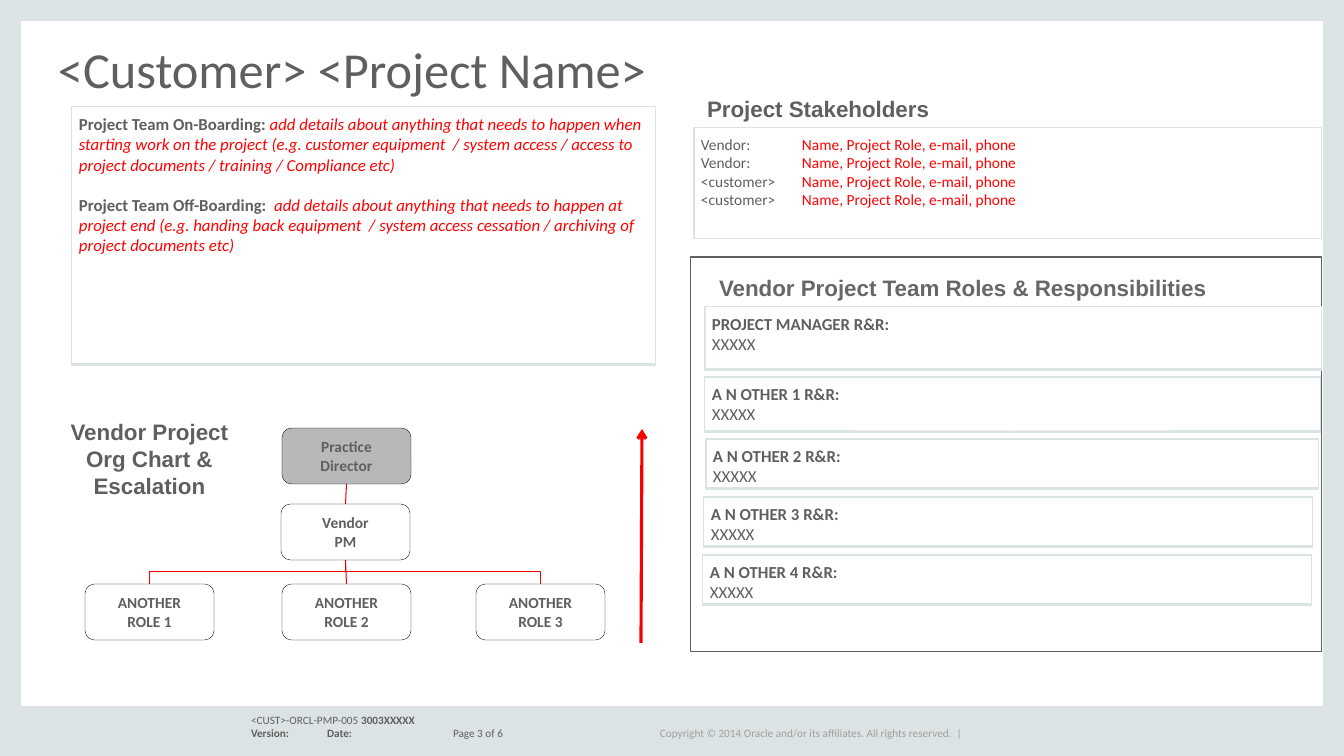
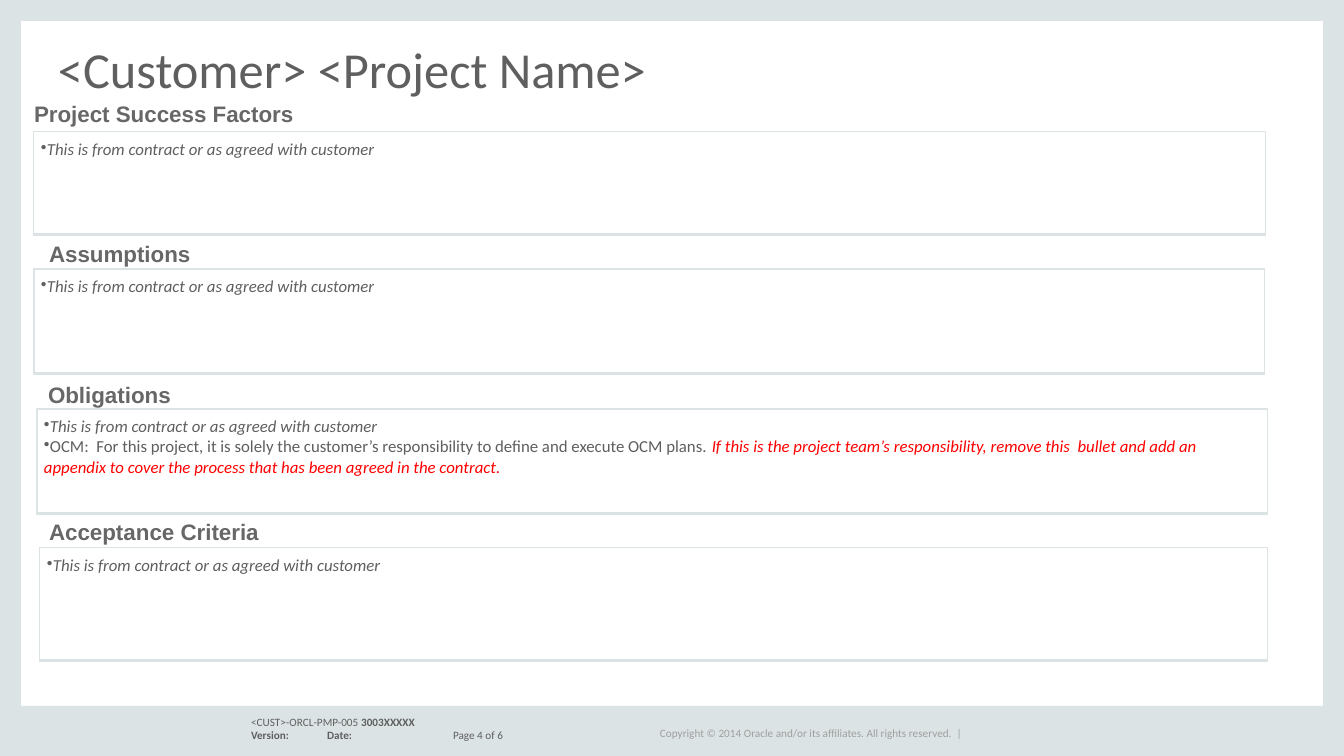
from lxml import etree
from pptx import Presentation
from pptx.dml.color import RGBColor
from pptx.enum.shapes import MSO_CONNECTOR, MSO_SHAPE
from pptx.enum.text import MSO_ANCHOR, PP_ALIGN
from pptx.oxml.ns import qn
from pptx.util import Pt

PX = 914400 / 100.8
RECTANGLE = MSO_SHAPE.RECTANGLE
ROUNDED = MSO_SHAPE.FLOWCHART_ALTERNATE_PROCESS
STRAIGHT, ELBOW = MSO_CONNECTOR.STRAIGHT, MSO_CONNECTOR.ELBOW
LEFT, CENTER = PP_ALIGN.LEFT, PP_ALIGN.CENTER
TOP, MIDDLE, BOTTOM = MSO_ANCHOR.TOP, MSO_ANCHOR.MIDDLE, MSO_ANCHOR.BOTTOM
TOP_SIDE, BOTTOM_SIDE = 0, 2

COLORS = {
    "text": "5F5F5F", "heading": "676767", "muted": "9F9F9F", "band": "DCE3E4",
    "white": "FFFFFF", "black": "000000", "director": "B8B8B8",
    "hint": "FF0000", "connector": "F90000",
}
STYLES = {
    "title": {"name": "Calibri", "size": Pt(36), "color": "text"},
    "heading": {"name": "Arial", "size": Pt(16), "bold": True, "color": "heading"},
    "body": {"name": "Calibri", "size": Pt(12), "color": "text"},
    "small": {"name": "Calibri", "size": Pt(11), "color": "text"},
    "footer": {"name": "Calibri", "size": Pt(8), "color": "text"},
}
PLAIN, BOLD, ITALIC = {}, {"bold": True}, {"italic": True}
HINT = {"color": "hint"}
ITALIC_HINT = {"color": "hint", "italic": True}
WIDE_INSET, PANEL_INSET, NO_INSET = (13, 7), (7, 7), (0, 0)


def add_shape(slide, kind, box, fill=None, line=None, width=0.75, shadow=False):
    """Add a preset shape, or a text box when kind is None."""
    lengths = [round(value * PX) for value in box]
    if kind is None:
        return slide.shapes.add_textbox(*lengths)
    shape = slide.shapes.add_shape(kind, *lengths)
    shape.shadow.inherit = False
    if fill:
        shape.fill.solid()
        shape.fill.fore_color.rgb = RGBColor.from_string(COLORS[fill])
    else:
        shape.fill.background()
    if line:
        shape.line.color.rgb = RGBColor.from_string(COLORS[line])
        shape.line.width = Pt(width)
    else:
        shape.line.fill.background()
    if shadow:
        effects = shape._element.spPr.find(qn("a:effectLst"))
        outer = etree.SubElement(effects, qn("a:outerShdw"), blurRad="0", dist="12700",
                                 dir="5400000", algn="t", rotWithShape="0")
        etree.SubElement(outer, qn("a:srgbClr"), val=COLORS["band"])
    return shape


def write(shape, paragraphs, style, inset=WIDE_INSET, align=LEFT, anchor=TOP,
          wrap=True, bullet=None, tabs=(), line_spacing=None, gap=0):
    """Fill a shape with paragraphs, each a list of (text, format) runs."""
    frame = shape.text_frame
    frame.word_wrap = wrap
    frame.vertical_anchor = anchor
    frame.margin_left = frame.margin_right = round(inset[0] * PX)
    frame.margin_top = frame.margin_bottom = round(inset[1] * PX)
    for index, runs in enumerate(paragraphs):
        paragraph = frame.add_paragraph() if index else frame.paragraphs[0]
        properties = paragraph._p.get_or_add_pPr()
        if bullet:
            properties.set("marL", "0")
            properties.set("indent", "0")
            etree.SubElement(properties, qn("a:buChar"), char=bullet)
        if tabs:
            stops = etree.SubElement(properties, qn("a:tabLst"))
            for position in tabs:
                etree.SubElement(stops, qn("a:tab"), pos=str(round(position * PX)), algn="l")
        paragraph.alignment = align
        if line_spacing:
            paragraph.line_spacing = line_spacing
        if index and gap:
            paragraph.space_before = Pt(gap)
        for text, changes in runs:
            run = paragraph.add_run()
            run.text = text
            for key, value in {**STYLES[style], **changes}.items():
                if key == "color":
                    run.font.color.rgb = RGBColor.from_string(COLORS[value])
                else:
                    setattr(run.font, key, value)


presentation = Presentation()
presentation.slide_width = round(1344 * PX)
presentation.slide_height = round(756 * PX)

# Shared frame, title and footers
BANDS = [(0, 0, 21, 755), (1323, 1, 21, 755), (0, 706, 1344, 50), (0, 0, 1344, 21)]
slides = []
for page, footer_top in ((3, 706), (4, 708)):
    slide = presentation.slides.add_slide(presentation.slide_layouts[6])
    slides.append(slide)
    for band in BANDS:
        add_shape(slide, RECTANGLE, band, fill="band")
    write(add_shape(slide, None, (58, 0, 1227, 98)),
          [[("<Customer> <Project Name>", PLAIN)]],
          "title", NO_INSET, anchor=BOTTOM, line_spacing=0.8)
    write(add_shape(slide, None, (660, 723, 307, 20)),
          [[("Copyright © 2014 Oracle and/or its affiliates. All rights reserved.  |",
             {"color": "muted"})]],
          "footer", NO_INSET, anchor=MIDDLE, wrap=False)
    write(add_shape(slide, None, (238, footer_top, 425, 40)),
          [[("<CUST>-ORCL-PMP-005 ", PLAIN), ("3003XXXXX", BOLD)],
           [("Version:\tDate:\t", BOLD), (f"Page {page} of 6", PLAIN)]],
          "footer", tabs=(76, 202))
team_slide, terms_slide = slides

# Team slide: headings
for box, text, align, color in (
    ((694, 88, 358, 40), "Project Stakeholders", LEFT, "text"),
    ((706, 267, 592, 40), "Vendor Project Team Roles & Responsibilities", LEFT, "heading"),
    ((45, 411, 209, 95), "Vendor Project\vOrg Chart & Escalation", CENTER, "text"),
):
    write(add_shape(team_slide, None, box),
          [[(line, {"color": color})] for line in text.split("\v")], "heading", align=align)

# Team slide: on-boarding and off-boarding
onboarding = add_shape(team_slide, RECTANGLE, (72, 107, 584, 257), "white", "band", shadow=True)
write(onboarding, [
    [("Project Team On-Boarding: ", BOLD),
     ("add details about anything that needs to happen when starting work on the project "
      "(e.g. customer equipment  / system access / access to project documents / training / "
      "Compliance etc)", ITALIC_HINT)],
    [("Project Team Off-Boarding:  ", BOLD),
     ("add details about anything that needs to happen at project end (e.g. handing back "
      "equipment  / system access cessation / archiving of project documents etc)",
      ITALIC_HINT)],
], "body", PANEL_INSET, gap=14.6)

# Team slide: stakeholders
stakeholders = add_shape(team_slide, RECTANGLE, (694, 128, 628, 111), line="band")
write(stakeholders,
      [[(f"{party}\t", PLAIN), ("Name, Project Role, e-mail, phone", HINT)]
       for party in ("Vendor:", "Vendor:", "<customer>", "<customer>")],
      "small", PANEL_INSET, tabs=(101,))

# Team slide: roles and responsibilities
add_shape(team_slide, RECTANGLE, (691, 257, 631, 395), line="text")
for role, box in (
    ("PROJECT MANAGER", (705, 307, 617, 62)),
    ("A N OTHER 1", (705, 377, 616, 54)),
    ("A N OTHER 2", (706, 439, 613, 49)),
    ("A N OTHER 3", (704, 497, 609, 49)),
    ("A N OTHER 4", (703, 555, 609, 49)),
):
    panel = add_shape(team_slide, RECTANGLE, box, "white", "band", shadow=True)
    write(panel, [[(f"{role} R&R:", BOLD)], [("XXXXX", PLAIN)]], "body", PANEL_INSET)

# Team slide: org chart
NODE_WIDTH, NODE_HEIGHT = 129, 56
nodes = {}
for lines, left, top, fill in (
    (("Practice", "Director"), 282, 428, "director"),
    (("Vendor", "PM"), 281, 504, None),
    (("ANOTHER", "ROLE 1"), 85, 584, None),
    (("ANOTHER", "ROLE 2"), 282, 584, None),
    (("ANOTHER", "ROLE 3"), 476, 584, None),
):
    node = add_shape(team_slide, ROUNDED, (left, top, NODE_WIDTH, NODE_HEIGHT),
                     fill, "black", width=0.25)
    write(node, [[(line, BOLD)] for line in lines], "small", NO_INSET, CENTER, MIDDLE)
    nodes[lines[1]] = node

connectors = []
for kind, upper, lower in (
    (STRAIGHT, "Director", "PM"),
    (STRAIGHT, "PM", "ROLE 2"),
    (ELBOW, "PM", "ROLE 1"),
    (ELBOW, "PM", "ROLE 3"),
):
    connector = team_slide.shapes.add_connector(kind, 0, 0, 0, 0)
    connector.begin_connect(nodes[upper], BOTTOM_SIDE)
    connector.end_connect(nodes[lower], TOP_SIDE)
    connectors.append((connector, 0.75))
    if kind == ELBOW:
        # Turn the elbow by a quarter so that it leaves downwards
        start_x, start_y = connector.begin_x, connector.begin_y
        end_x, end_y = connector.end_x, connector.end_y
        run, drop = abs(end_x - start_x), end_y - start_y
        connector.left = (start_x + end_x - drop) // 2
        connector.top = (start_y + end_y - run) // 2
        connector.width, connector.height = drop, run
        to_right = end_x > start_x
        transform = connector._element.spPr.find(qn("a:xfrm"))
        transform.set("rot", "16200000" if to_right else "5400000")
        transform.set("flipH", "1" if to_right else "0")
        transform.set("flipV", "0")

# Team slide: escalation arrow
escalation = team_slide.shapes.add_connector(
    STRAIGHT, *[round(value * PX) for value in (641, 643, 642, 429)])
connectors.append((escalation, 2.25))
for connector, width in connectors:
    connector.line.color.rgb = RGBColor.from_string(COLORS["connector"])
    connector.line.width = Pt(width)
    etree.SubElement(connector._element.spPr, qn("a:effectLst"))
etree.SubElement(escalation._element.spPr.find(qn("a:ln")), qn("a:tailEnd"), type="arrow")

# Terms slide: headed panels
AGREED = [("This is from contract or as agreed with customer", ITALIC)]
CHANGE_PLANS = [
    ("OCM:  For this project, it is solely the customer’s responsibility to define and "
     "execute OCM plans. ", PLAIN),
    ("If this is the project team’s responsibility, remove this  bullet and add an appendix "
     "to cover the process that has been agreed in the contract.", ITALIC_HINT),
]
for heading, heading_left, heading_top, box, points in (
    ("Project Success Factors", 21, 93, (34, 132, 1232, 102), [AGREED]),
    ("Assumptions", 36, 233, (34, 269, 1231, 104), [AGREED]),
    ("Obligations", 35, 374, (37, 409, 1231, 104), [AGREED, CHANGE_PLANS]),
    ("Acceptance Criteria", 36, 511, (40, 548, 1228, 112), [AGREED]),
):
    panel = add_shape(terms_slide, RECTANGLE, box, "white", "band", shadow=True)
    write(panel, points, "body", PANEL_INSET, bullet="•")
    write(add_shape(terms_slide, None, (heading_left, heading_top, 460, 40)),
          [[(heading, PLAIN)]], "heading")

presentation.save("out.pptx")
